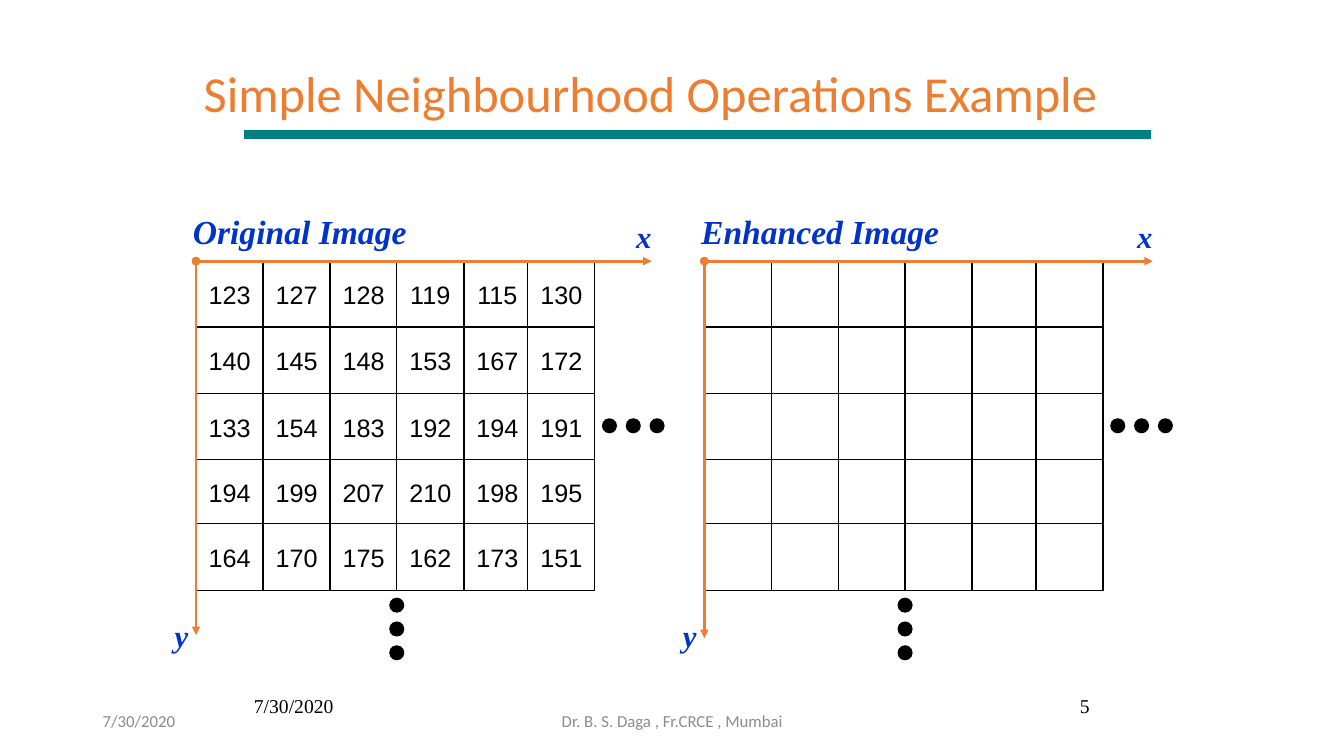
from pptx import Presentation
from pptx.dml.color import RGBColor
from pptx.enum.shapes import MSO_CONNECTOR as CONN, MSO_SHAPE as SHAPE
from pptx.enum.text import MSO_ANCHOR as ANCHOR, MSO_AUTO_SIZE as FIT, PP_ALIGN as ALIGN
from pptx.oxml.ns import qn
from pptx.util import Cm, Pt
from lxml.etree import SubElement

BLACK = RGBColor(0x00, 0x00, 0x00)
WHITE = RGBColor(0xFF, 0xFF, 0xFF)
ORANGE = RGBColor(0xED, 0x7D, 0x31)
TEAL = RGBColor(0x00, 0x80, 0x80)
BLUE = RGBColor(0x00, 0x33, 0xCC)
GREY = RGBColor(0x8C, 0x8C, 0x8C)

TITLE = {"name": "Calibri", "size": Pt(36), "color": ORANGE}
CELL = {"name": "Arial", "size": Pt(18), "color": BLACK}
HEADING = {"name": "Times New Roman", "size": Pt(24), "color": BLUE,
           "bold": True, "italic": True}
AXIS = {**HEADING, "size": Pt(22)}
STAMP = {"name": "Times New Roman", "size": Pt(14), "color": BLACK}
FOOTER = {"name": "Calibri", "size": Pt(12), "color": GREY}

PIXELS = [
    [123, 127, 128, 119, 115, 130],
    [140, 145, 148, 153, 167, 172],
    [133, 154, 183, 192, 194, 191],
    [194, 199, 207, 210, 198, 195],
    [164, 170, 175, 162, 173, 151],
]
BLANK = [[""] * 6 for _ in range(5)]
COLUMNS = [0, 1.69, 3.38, 5.06, 6.75, 8.36]
ROWS = [0, 1.66, 3.34, 5.0, 6.62]
GRID_TOP = 6.58


class Deck:
    def __init__(self):
        self.prs = Presentation()
        self.prs.slide_width, self.prs.slide_height = Cm(33.87), Cm(19.05)
        self.slide = self.prs.slides.add_slide(self.prs.slide_layouts[5])
        self.shapes = self.slide.shapes

    def add_text(self, tf, text, style, align=ALIGN.LEFT):
        p = tf.paragraphs[0]
        p.alignment = align
        r = p.add_run()
        r.text = str(text)
        for key, value in style.items():
            if key == "color":
                r.font.color.rgb = value
            else:
                setattr(r.font, key, value)
        return p

    def title(self, text, x, y, w, h):
        sp = self.slide.shapes.title
        sp.left, sp.top, sp.width, sp.height = Cm(x), Cm(y), Cm(w), Cm(h)
        tf = sp.text_frame
        tf.auto_size, tf.vertical_anchor = FIT.NONE, ANCHOR.MIDDLE
        self.add_text(tf, text, TITLE).line_spacing = 0.9

    def label(self, text, style, x, y, w, h, align=ALIGN.LEFT,
              anchor=ANCHOR.TOP, wrap=True):
        tf = self.shapes.add_textbox(Cm(x), Cm(y), Cm(w), Cm(h)).text_frame
        tf.word_wrap, tf.vertical_anchor = wrap, anchor
        self.add_text(tf, text, style, align)

    def shape(self, kind, fill, x, y, w, h):
        sp = self.shapes.add_shape(kind, Cm(x), Cm(y), Cm(w), Cm(h))
        sp.shadow.inherit = False
        sp.fill.solid()
        sp.fill.fore_color.rgb = fill
        return sp

    def cell(self, value, x, y):
        sp = self.shape(SHAPE.RECTANGLE, WHITE, x, y, 1.69, 1.68)
        sp.line.color.rgb = BLACK
        sp.line.width = Pt(1)
        if value:
            tf = sp.text_frame
            tf.word_wrap, tf.vertical_anchor = False, ANCHOR.MIDDLE
            self.add_text(tf, value, CELL, ALIGN.CENTER)

    def dots(self, x, y, dx=0, dy=0):
        for i in range(3):
            sp = self.shape(SHAPE.OVAL, BLACK, x + i * dx, y + i * dy, 0.38, 0.38)
            sp.line.fill.background()

    def line(self, x1, y1, x2, y2, color, width, arrow=False):
        cx = self.shapes.add_connector(CONN.STRAIGHT, Cm(x1), Cm(y1), Cm(x2), Cm(y2))
        cx.line.color.rgb = color
        cx.line.width = Pt(width)
        sp_pr = cx._element.spPr
        if arrow:
            ln = sp_pr.find(qn("a:ln"))
            SubElement(ln, qn("a:headEnd"), type="oval")
            SubElement(ln, qn("a:tailEnd"), type="triangle")
        SubElement(sp_pr, qn("a:effectLst"))

    def panel(self, heading, values, x, x_axis, y_axis):
        self.shapes = self.slide.shapes.add_group_shape().shapes
        for dy, row in zip(ROWS, values):
            for dx, value in zip(COLUMNS, row):
                self.cell(value, x + dx, GRID_TOP + dy)
        self.line(x, GRID_TOP, x + x_axis, GRID_TOP, ORANGE, 2, arrow=True)
        self.line(x, GRID_TOP, x, GRID_TOP + y_axis, ORANGE, 2, arrow=True)
        self.label(heading, HEADING, x - 0.33, 5.18, 6.5, 1.27, wrap=False)
        self.label("x", AXIS, x + x_axis - 0.64, 5.37, 0.89, 1.19, wrap=False)
        self.label("y", AXIS, x - 0.79, 15.41, 0.86, 1.19, wrap=False)
        self.dots(x + 10.23, 10.54, dx=0.6)
        self.dots(x + 4.87, 15.06, dy=0.6)
        self.shapes = self.slide.shapes


def main():
    deck = Deck()
    deck.title("Simple Neighbourhood Operations Example", 4.88, 0.84, 23.93, 3.18)
    deck.label("7/30/2020", STAMP, 6.15, 17.35, 5.28, 1.27)
    deck.label("5", STAMP, 22.43, 17.35, 5.28, 1.27, ALIGN.RIGHT)
    deck.panel("Original Image", PIXELS, 4.94, 11.48, 9.42)
    deck.panel("Enhanced Image", BLANK, 17.75, 11.3, 9.5)
    deck.line(6.15, 3.39, 29.01, 3.39, TEAL, 6)
    deck.label("7/30/2020", FOOTER, 2.34, 17.65, 7.62, 1.02, anchor=ANCHOR.MIDDLE)
    deck.label("Dr. B. S. Daga , Fr.CRCE , Mumbai", FOOTER, 11.23, 17.65, 11.43, 1.02,
               ALIGN.CENTER, ANCHOR.MIDDLE)
    deck.prs.save("out.pptx")


if __name__ == "__main__":
    main()
